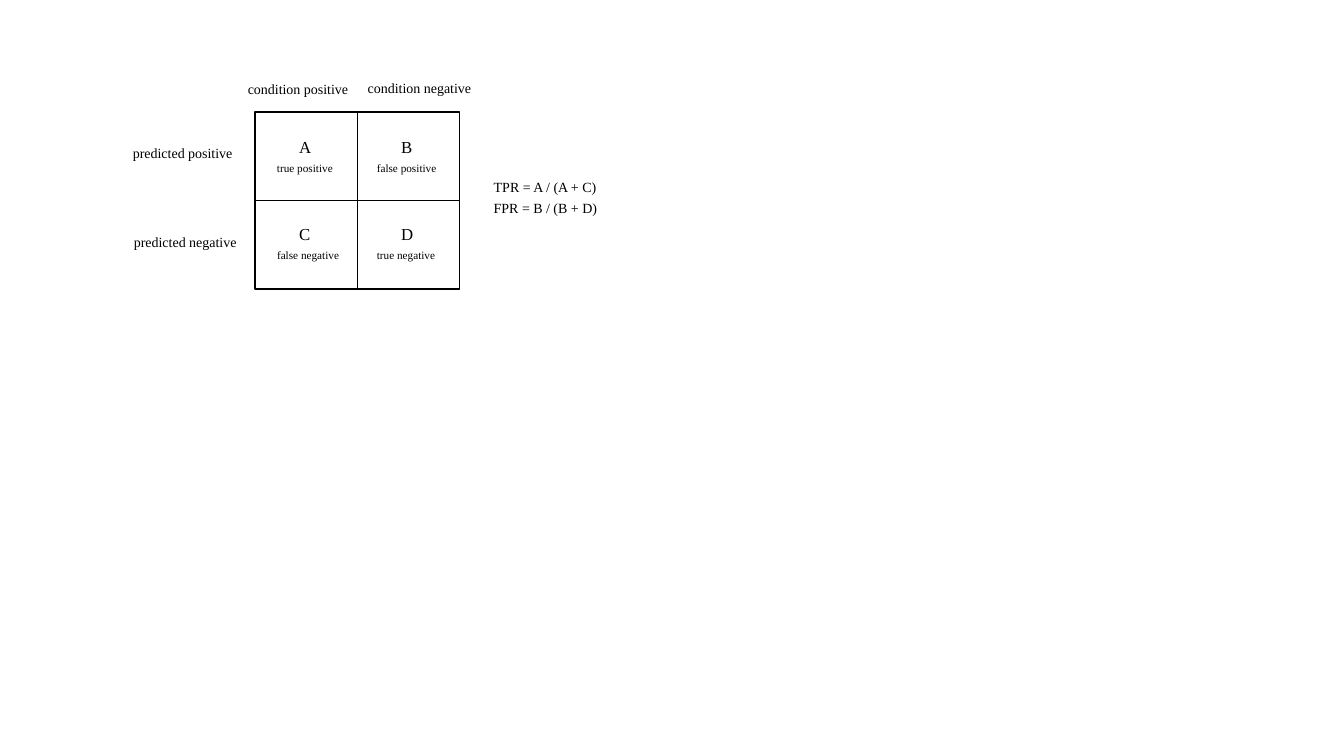
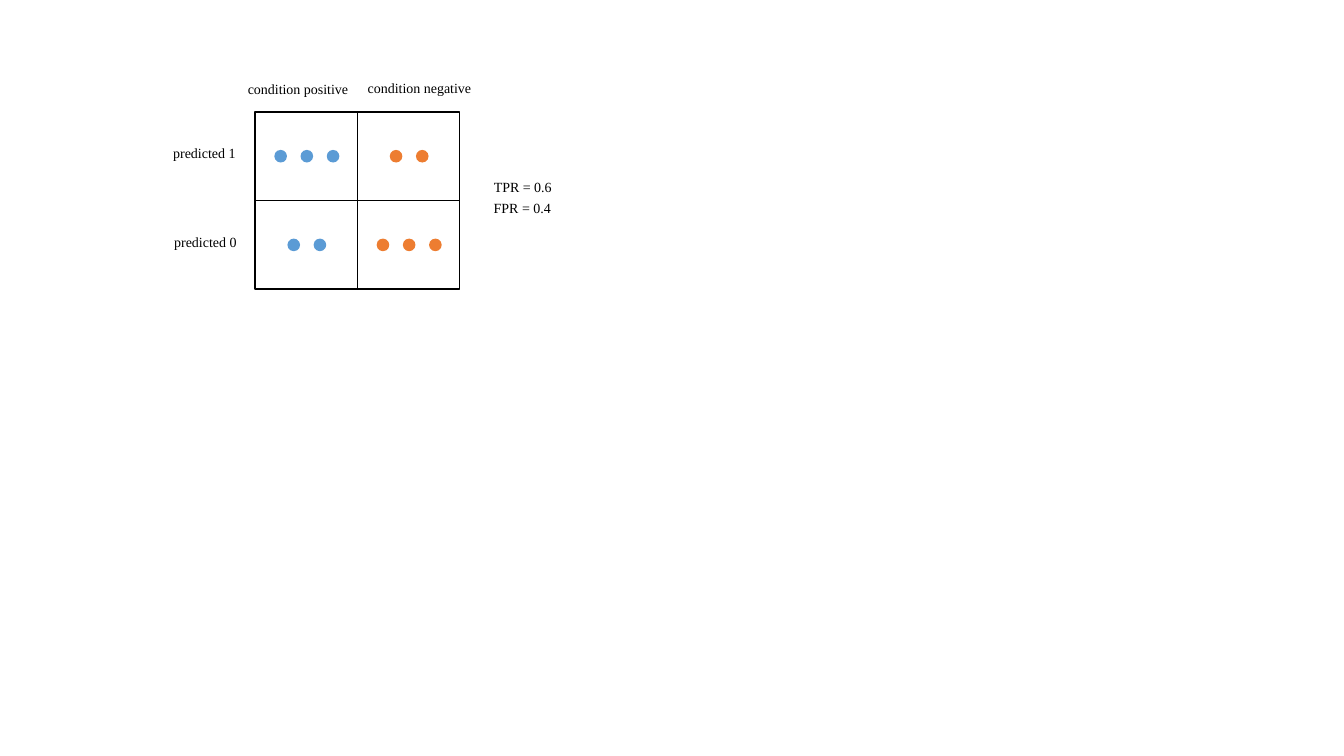
import pptx
import pptx.dml.color
import pptx.enum.shapes
import pptx.enum.text
import pptx.oxml.ns
import pptx.util
from lxml import etree

Pt = pptx.util.Pt
BLACK, BLUE, ORANGE = "000000", "5B9BD5", "ED7D31"
FONT = "Times New Roman"

GRID_LEFT, GRID_TOP = 182.16, 79.92
CELL_WIDTH, CELL_HEIGHT = 73.08, 63.36
DOT_SIZE, DOT_PITCH = 9, 18.72
LABEL_SIZE, LETTER_SIZE, CAPTION_SIZE = 10, 12, 8
BOX_HEIGHTS = {LABEL_SIZE: 19.4, LETTER_SIZE: 21.6, CAPTION_SIZE: 17}
ROW_LABEL_TOPS = (99.36, 163.44)
FORMULA_LEFT, FORMULA_TOPS = 345.6, (123.84, 138.96)
LETTER_LEFTS, CAPTION_LEFTS = (206.64, 279.36), (190.8, 262.08)
LETTER_TOP, CAPTION_TOP, CELL_TEXT_PITCH = 94.32, 111.6, 61.92


def color(value):
    """Turn a hex string into a colour."""
    return pptx.dml.color.RGBColor.from_string(value)


def set_attributes(target, values):
    """Set each attribute of the target from a dict."""
    for name, value in values.items():
        setattr(target, name, value)


def set_line(line):
    """Give an outline or connector the black grid stroke."""
    line.color.rgb = color(BLACK)
    line.width = Pt(1)


def add_text(slide, text, left, top, width, size=LABEL_SIZE):
    """Add a one-line text box that does not wrap."""
    shape = slide.shapes.add_textbox(
        Pt(left), Pt(top), Pt(width), Pt(BOX_HEIGHTS[size]))
    set_attributes(shape.text_frame, {
        "word_wrap": False,
        "auto_size": pptx.enum.text.MSO_AUTO_SIZE.SHAPE_TO_FIT_TEXT})
    run = shape.text_frame.paragraphs[0].add_run()
    run.text = text
    set_attributes(run.font, {"name": FONT, "size": Pt(size)})
    run.font.color.rgb = color(BLACK)


def add_shape(slide, kind, left, top, width, height):
    """Add a preset shape without a shadow."""
    shape = slide.shapes.add_shape(
        kind, Pt(left), Pt(top), Pt(width), Pt(height))
    shape.shadow.inherit = False
    return shape


def add_divider(slide, start, end):
    """Add a straight grid line between two points."""
    connector = slide.shapes.add_connector(
        pptx.enum.shapes.MSO_CONNECTOR.STRAIGHT,
        *(Pt(value) for value in start + end))
    set_line(connector.line)
    etree.SubElement(connector._element.spPr, pptx.oxml.ns.qn("a:effectLst"))


def add_grid(slide):
    """Add the two-by-two frame with its dividers."""
    width, height = 2 * CELL_WIDTH, 2 * CELL_HEIGHT
    frame = add_shape(slide, pptx.enum.shapes.MSO_SHAPE.RECTANGLE,
                      GRID_LEFT, GRID_TOP, width, height)
    frame.fill.background()
    set_line(frame.line)
    middle_x, middle_y = GRID_LEFT + CELL_WIDTH, GRID_TOP + CELL_HEIGHT
    add_divider(slide, (middle_x, GRID_TOP), (middle_x, GRID_TOP + height))
    add_divider(slide, (GRID_LEFT, middle_y), (GRID_LEFT + width, middle_y))


def add_dots(slide, row, column, count, fill):
    """Add a centred row of dots to one cell."""
    center_x = GRID_LEFT + (column + 0.5) * CELL_WIDTH + 0.5
    center_y = GRID_TOP + (row + 0.5) * CELL_HEIGHT
    for index in range(count):
        x = center_x + (index - (count - 1) / 2) * DOT_PITCH
        dot = add_shape(slide, pptx.enum.shapes.MSO_SHAPE.OVAL,
                        x - DOT_SIZE / 2, center_y - DOT_SIZE / 2,
                        DOT_SIZE, DOT_SIZE)
        dot.fill.solid()
        dot.fill.fore_color.rgb = color(fill)
        dot.line.fill.background()


def add_cell_text(slide, row, column, letter, caption, caption_width):
    """Add the letter and caption of one cell."""
    shift = row * CELL_TEXT_PITCH
    add_text(slide, letter, LETTER_LEFTS[column], LETTER_TOP + shift,
             23.04, LETTER_SIZE)
    add_text(slide, caption, CAPTION_LEFTS[column], CAPTION_TOP + shift,
             caption_width, CAPTION_SIZE)


def add_matrix_slide(presentation, row_labels, formulas):
    """Add a slide with the grid, its labels and the rate formulas."""
    slide = presentation.slides.add_slide(presentation.slide_layouts[6])
    add_grid(slide)
    add_text(slide, "condition positive", 169.92, 54, 87.12)
    add_text(slide, "condition negative", 255.6, 53.6, 89.28)
    for (text, left, width), top in zip(row_labels, ROW_LABEL_TOPS):
        add_text(slide, text, left, top, width)
    for (text, width), top in zip(formulas, FORMULA_TOPS):
        add_text(slide, text, FORMULA_LEFT, top, width)
    return slide


def main():
    """Build and save both slides."""
    presentation = pptx.Presentation()
    set_attributes(presentation,
                   {"slide_width": Pt(960), "slide_height": Pt(540)})

    slide = add_matrix_slide(
        presentation,
        [("predicted positive", 87.84, 86.4),
         ("predicted negative", 88.56, 89.28)],
        [("TPR = A / (A + C)", 90.72), ("FPR = B / (B + D)", 89.28)])
    outcomes = [("A", "true positive", 54.72), ("B", "false positive", 57.6),
                ("C", "false negative", 61.2), ("D", "true negative", 56.16)]
    for index, outcome in enumerate(outcomes):
        add_cell_text(slide, *divmod(index, 2), *outcome)

    slide = add_matrix_slide(
        presentation,
        [("predicted 1", 116.64, 59.76), ("predicted 0", 117.36, 59.76)],
        [("TPR = 0.6", 56.16), ("FPR = 0.4", 55.44)])
    for row, counts in enumerate([(3, 2), (2, 3)]):
        for column, fill in enumerate((BLUE, ORANGE)):
            add_dots(slide, row, column, counts[column], fill)

    presentation.save("out.pptx")


main()
